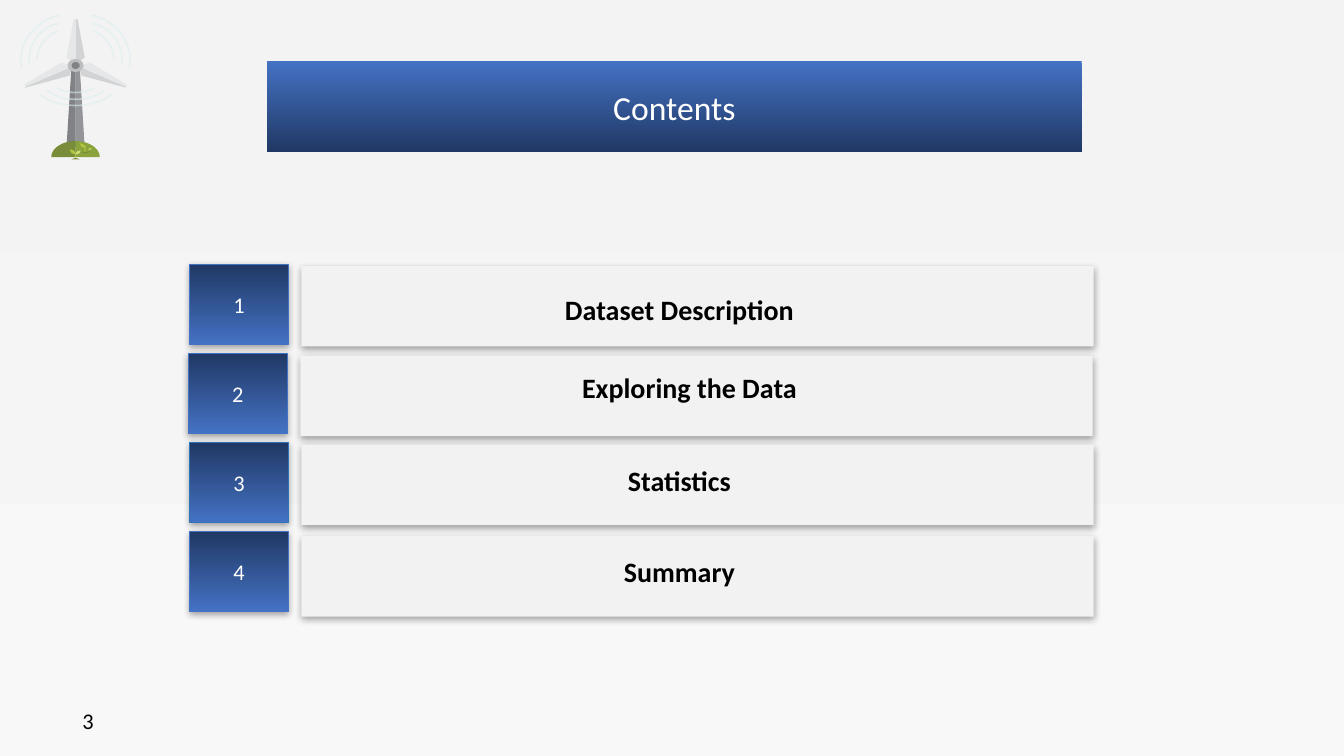
from lxml import etree
from pptx import Presentation
from pptx.dml.color import RGBColor
from pptx.enum.shapes import MSO_SHAPE
from pptx.enum.text import MSO_ANCHOR, PP_ALIGN
from pptx.oxml.ns import qn
from pptx.util import Pt

RECT, OVAL = MSO_SHAPE.RECTANGLE, MSO_SHAPE.OVAL
TOP, MIDDLE = MSO_ANCHOR.TOP, MSO_ANCHOR.MIDDLE
LEFT, CENTER = PP_ALIGN.LEFT, PP_ALIGN.CENTER
FONT = "Calibri"
DOWN = 270  # gradient angle, counter-clockwise

COLORS = {
    "back_top": "F3F3F3", "back_bottom": "F8F8F8",
    "blue": "4472C4", "navy": "203864", "edge": "2E75B6",
    "bar": "F2F2F2", "black": "000000", "white": "FFFFFF",
    "tower_light": "939598", "tower_dark": "808285",
    "blade_light": "E6E7E8", "blade_dark": "D1D3D4", "hub": "BCBEC0",
    "grass_light": "8AA33C", "grass_dark": "798C39", "soil": "778C39",
    "leaf_light": "CDDD70", "leaf_dark": "B3C640", "wave": "DCEEF1",
}

TITLE = "Contents"
PAGE = "3"
# label, row left, bar top, label left, label top, tile outline
ROWS = [
    ("Dataset Description", 135.4, 190.1, 219.6, 205.2, "blue"),
    ("Exploring the Data", 134.6, 254.2, 226.8, 261.4, "blue"),
    ("Statistics", 135.4, 317.5, 219.6, 327.6, "edge"),
    ("Summary", 135.4, 383.0, 219.6, 392.4, "blue"),
]
TILE_TOP, TILE_STEP = 188.6, 63.6
TILE_W, TILE_H, BAR_W, BAR_OFFSET = 70.6, 57.4, 566, 79.9

# Turbine: x is measured from the tower axis, y from the slide top
AXIS, HUB_Y = 54, 46.8
# right colour, left colour, right-hand outline
MIRRORED = [
    ("tower_light", "tower_dark", [(0, 46.8), (2.9, 46.8), (6.5, 105.1), (0, 105.1)]),
    ("blade_dark", "blade_dark", [(36, 61.9), (2.2, 47.5), (4.3, 54), (36, 62.6)]),
    ("blade_light", "blade_light", [(36, 61.9), (2.2, 47.5), (10.1, 44.6), (36.7, 60.5)]),
    ("blade_dark", "blade_light", [(0, 13.7), (0, 46.1), (6.5, 41), (1.4, 13.7)]),
]
HUB = [("hub", 11.5, 9.4), ("tower_dark", 5.8, 5)]
MOUND = [(0, 100.8), (9.4, 100.8), (17.3, 105.8), (17.3, 112.3)]
LEAVES = [
    ("leaf_light", [(0, 109.4), (1.4, 108), (3.6, 107.3), (3, 109.2), (1.4, 110.2),
                    (0.2, 110.2), (0.2, 113), (0, 113)]),
    ("leaf_dark", [(0, 109.4), (-1.4, 107.3), (-4.3, 106.6), (-2.9, 109.4),
                   (-0.4, 110.2), (-0.4, 113), (0, 113)]),
    ("soil", [(2.9, 113.8), (0.7, 113), (-0.7, 113), (-2.9, 113.8)]),
    ("leaf_light", [(9.4, 106.6), (10.1, 105.8), (11.5, 105.8), (10.6, 106.9),
                    (9.6, 106.8), (9.6, 108), (9.4, 108)]),
    ("soil", [(10.8, 108.7), (10.1, 108), (9.4, 108), (7.9, 108.7)]),
    ("leaf_dark", [(7.2, 104.4), (5, 103), (2.9, 102.2), (4.3, 105), (6.5, 105.5),
                   (6.5, 108.7), (7.2, 108.7)]),
    ("soil", [(9.4, 109.4), (7.2, 108.4), (6.5, 108.4), (4.3, 109.4)]),
]
LOWER_WAVES = [
    [(-25.9, 67.3), (-12.6, 78.1), (12.6, 78.1), (25.9, 67.3)],
    [(-20.2, 64.8), (-9.4, 73), (9.4, 73), (20.2, 64.8)],
    [(-13.7, 62.6), (-5.8, 67.3), (5.8, 67.3), (13.7, 62.6)],
]
SIDE_WAVES = [
    [(38.5, 48.2), (42.1, 32.8), (29.5, 14.4), (11.5, 10.8)],
    [(32.8, 45.7), (35.3, 33.8), (25.9, 19.1), (12, 16.6)],
    [(27.4, 42.1), (27.4, 34.2), (21.6, 25.6), (12.6, 22)],
]


def rgb(name):
    return RGBColor.from_string(COLORS[name])


def paint(fill, *names):
    """Fill with one colour, or with a gradient running down between two."""
    if len(names) == 1:
        fill.solid()
        fill.fore_color.rgb = rgb(names[0])
        return
    fill.gradient()
    fill.gradient_angle = DOWN
    for stop, name in zip(fill.gradient_stops, names):
        stop.color.rgb = rgb(name)


def add_shape(shapes, kind, box, *names):
    s = shapes.add_shape(kind, *map(Pt, box))
    s.shadow.inherit = False
    s.line.fill.background()
    paint(s.fill, *names)
    return s


def add_shadow(s):
    effects = s._element.spPr.find(qn("a:effectLst"))
    shadow = etree.SubElement(effects, qn("a:outerShdw"), blurRad=str(Pt(5)),
                              dist=str(Pt(1.8)), dir="5400000", rotWithShape="0")
    color = etree.SubElement(shadow, qn("a:srgbClr"), val=COLORS["black"])
    etree.SubElement(color, qn("a:alpha"), val="35000")


def write(s, text, size, color, align=CENTER, anchor=MIDDLE, bold=False):
    tf = s.text_frame
    tf.word_wrap = True
    tf.vertical_anchor = anchor
    p = tf.paragraphs[0]
    p.text = text
    p.alignment = align
    p.font.name, p.font.size, p.font.bold = FONT, Pt(size), bold
    p.font.color.rgb = rgb(color)


def mirror(points):
    return [(-x, y) for x, y in points]


def curve(a, b, c, d, steps=16):
    """Points along the cubic Bezier curve from a to d."""
    ts = [i / steps for i in range(steps + 1)]
    return [tuple((1 - t) ** 3 * a[k] + 3 * (1 - t) ** 2 * t * b[k]
                  + 3 * (1 - t) * t ** 2 * c[k] + t ** 3 * d[k] for k in (0, 1))
            for t in ts]


def add_path(shapes, points, close):
    pts = [(Pt(AXIS + x), Pt(y)) for x, y in points]
    builder = shapes.build_freeform(*pts[0])
    builder.add_line_segments(pts[1:], close=close)
    s = builder.convert_to_shape()
    s.shadow.inherit = False
    return s


def add_outline(shapes, points, color):
    s = add_path(shapes, points, True)
    s.line.fill.background()
    paint(s.fill, color)


def add_wave(shapes, controls):
    s = add_path(shapes, curve(*controls), False)
    s.fill.background()
    s.line.width = Pt(1.2)
    paint(s.line.fill, "wave")
    color = s.line._ln.find(".//" + qn("a:srgbClr"))
    etree.SubElement(color, qn("a:alpha"), val="56000")


def add_turbine(slide):
    shapes = slide.shapes.add_group_shape().shapes
    mound = ("grass_light", "grass_dark", curve(*MOUND) + [(0, 112.3)])
    for right, left, points in MIRRORED + [mound]:
        add_outline(shapes, points, right)
        add_outline(shapes, mirror(points), left)
    for color, w, h in HUB:
        add_shape(shapes, OVAL, (AXIS - w / 2, HUB_Y - h / 2, w, h), color)
    for color, points in LEAVES:
        add_outline(shapes, points, color)
    for controls in LOWER_WAVES + SIDE_WAVES + [mirror(w) for w in SIDE_WAVES]:
        add_wave(shapes, controls)


def main():
    prs = Presentation()
    prs.slide_width, prs.slide_height = Pt(960), Pt(540)
    slide = prs.slides.add_slide(prs.slide_layouts[6])
    shapes = slide.shapes
    paint(slide.background.fill, "back_top", "back_bottom")

    title = add_shape(shapes, RECT, (190.8, 43.9, 581.8, 64.8), "blue", "navy")
    write(title, TITLE, 24, "white")
    page = shapes.add_textbox(Pt(51.8), Pt(500.4), Pt(216), Pt(28.8))
    write(page, PAGE, 16, "black", LEFT)

    for i, (label, left, bar_top, label_left, label_top, edge) in enumerate(ROWS):
        tile = add_shape(shapes, RECT, (left, TILE_TOP + i * TILE_STEP, TILE_W, TILE_H),
                         "navy", "blue")
        tile.line.width = Pt(0.75)
        paint(tile.line.fill, edge)
        write(tile, str(i + 1), 16, "white")
        bar = add_shape(shapes, RECT, (left + BAR_OFFSET, bar_top, BAR_W, TILE_H), "bar")
        for s in (tile, bar):
            add_shadow(s)
        box = shapes.add_textbox(Pt(label_left), Pt(label_top), Pt(531.4), Pt(31.7))
        write(box, label, 20, "black", anchor=TOP, bold=True)

    add_turbine(slide)
    prs.save("out.pptx")


if __name__ == "__main__":
    main()
